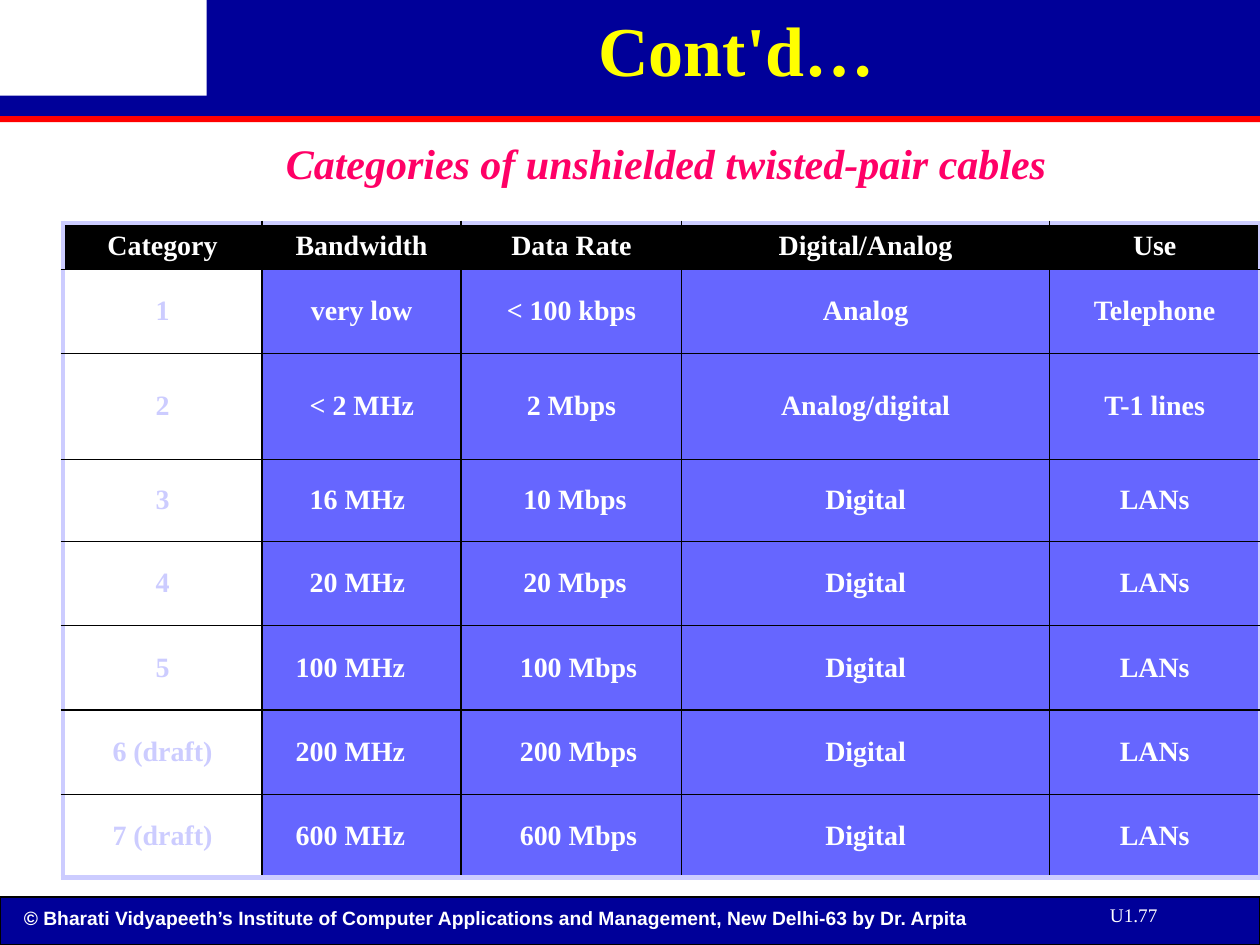
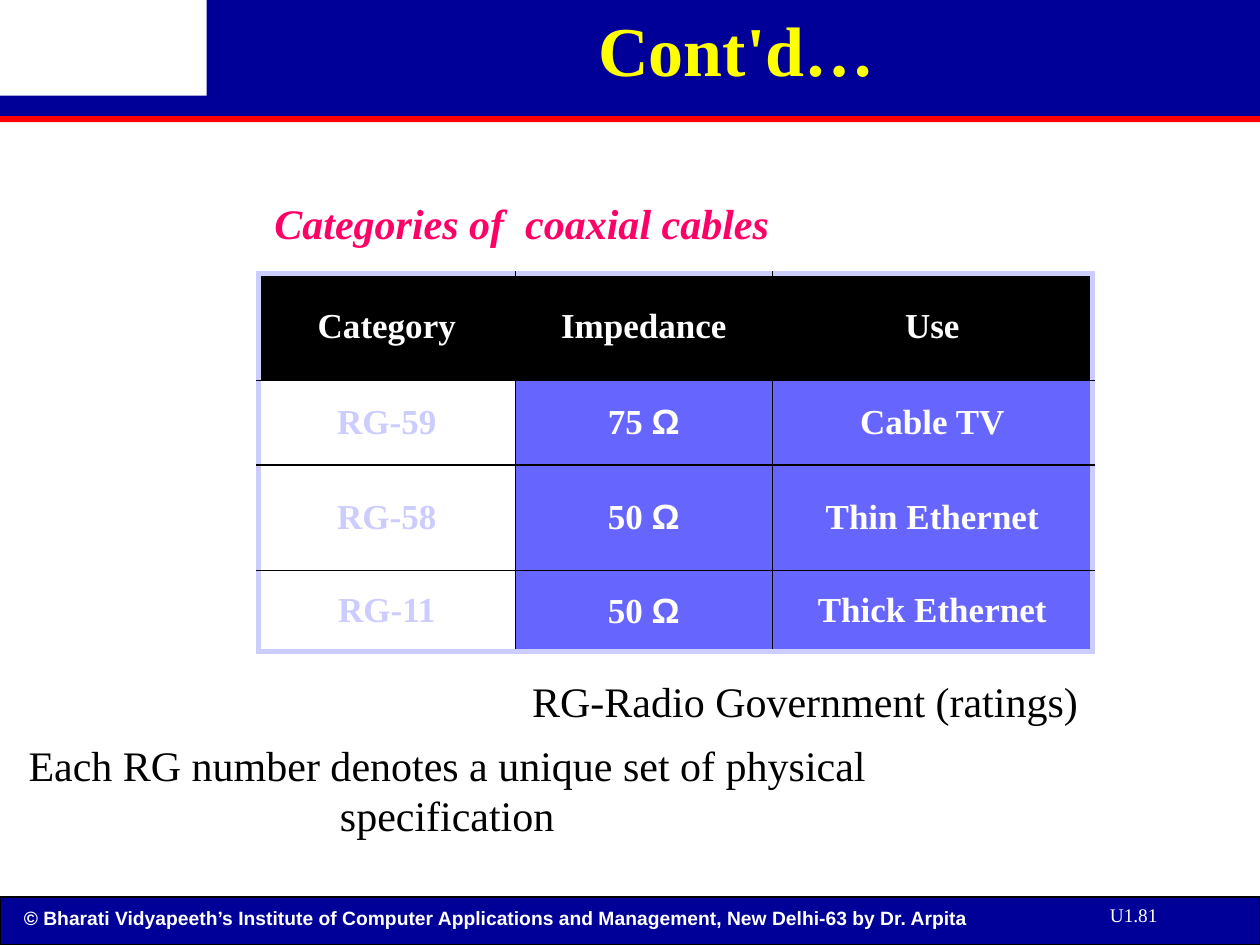
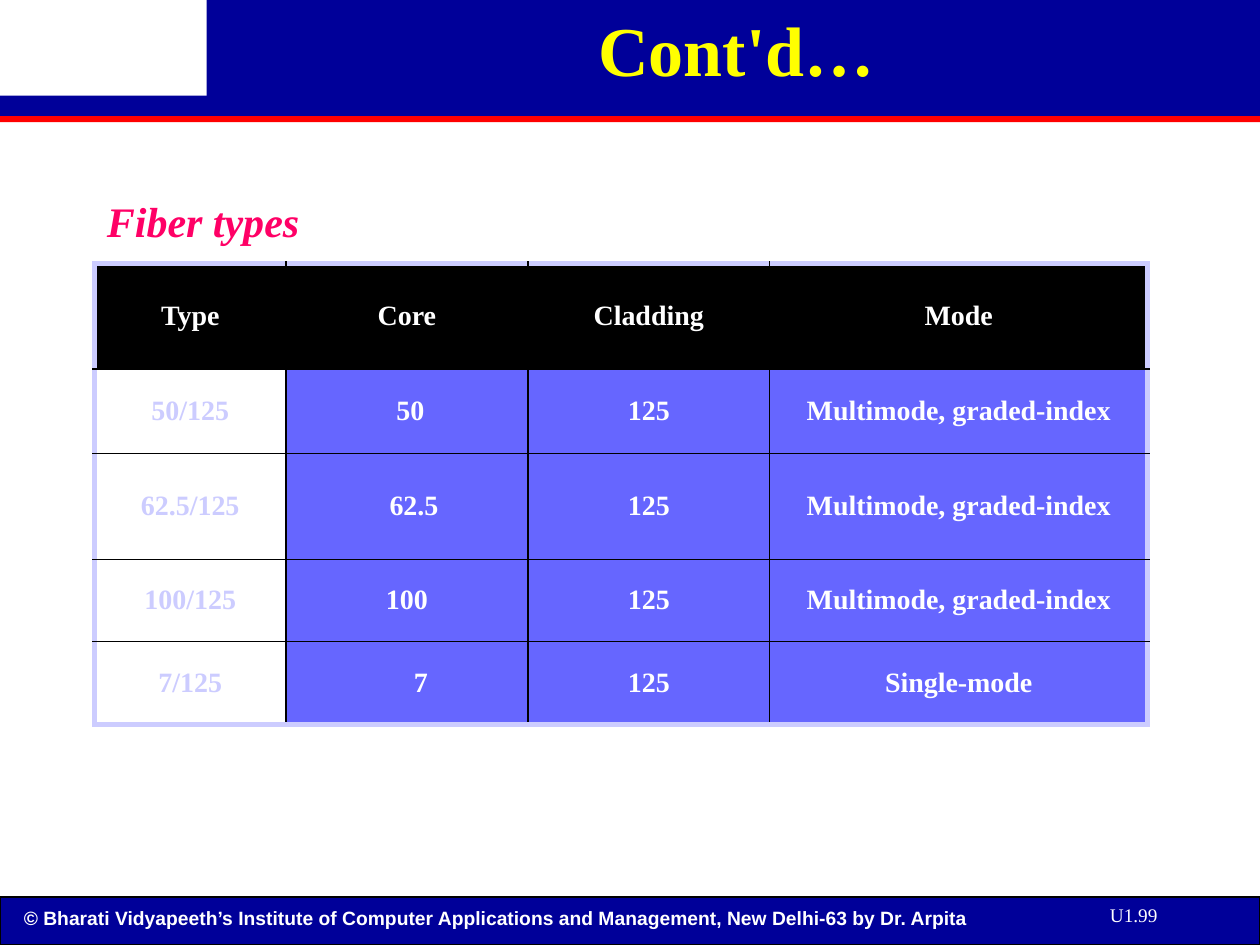
from dataclasses import dataclass

from lxml import etree
from pptx import Presentation
from pptx.dml.color import RGBColor
from pptx.enum.shapes import MSO_SHAPE
from pptx.enum.text import MSO_ANCHOR, MSO_AUTO_SIZE, PP_ALIGN
from pptx.oxml.ns import qn
from pptx.util import Inches, Pt

RECTANGLE = MSO_SHAPE.RECTANGLE
TOP, MIDDLE, BOTTOM = MSO_ANCHOR.TOP, MSO_ANCHOR.MIDDLE, MSO_ANCHOR.BOTTOM
LEFT, CENTER = PP_ALIGN.LEFT, PP_ALIGN.CENTER
NO_AUTOFIT, FIT_SHAPE = MSO_AUTO_SIZE.NONE, MSO_AUTO_SIZE.SHAPE_TO_FIT_TEXT
TITLE_ONLY = 5


@dataclass(frozen=True)
class Theme:
    serif: str = "Times New Roman"
    sans: str = "Arial"
    white: str = "FFFFFF"
    black: str = "000000"
    navy: str = "000099"
    red: str = "FF0000"
    yellow: str = "FFFF00"
    pink: str = "FF0066"
    violet: str = "6666FF"
    lavender: str = "CCCCFF"
    title_size: int = 40
    text_size: int = 24
    footer_size: int = 11
    inner_line: int = 1
    outer_line: int = 3


THEME = Theme()


@dataclass(frozen=True)
class Cell:
    """Table text as (text, font) runs, with a left indent in points."""
    runs: tuple
    indent: int = 0
    align: PP_ALIGN = CENTER


def shifted(text, indent, align=CENTER):
    return Cell(((text, THEME.serif),), indent, align)


def ohms(value):
    return Cell(((f"{value} ", THEME.serif), ("Ω", THEME.sans)))


def write_text(frame, text, size=THEME.text_size, color=THEME.black, font=THEME.serif,
               bold=False, italic=False, align=LEFT, anchor=TOP, wrap=True):
    """Fill a text frame with a string or with (text, font) runs."""
    frame.word_wrap = wrap
    frame.vertical_anchor = anchor
    paragraph = frame.paragraphs[0]
    paragraph.alignment = align
    runs = ((text, font),) if isinstance(text, str) else text
    for run_text, run_font in runs:
        run = paragraph.add_run()
        run.text = run_text
        run.font.name = run_font
        run.font.size = Pt(size)
        run.font.bold = bold
        run.font.italic = italic
        run.font.color.rgb = RGBColor.from_string(color)
    return paragraph


def add_text(slide, box, text, **text_format):
    shape = slide.shapes.add_textbox(*map(Inches, box))
    write_text(shape.text_frame, text, **text_format)
    return shape


def add_band(slide, box, color, outline=None):
    shape = slide.shapes.add_shape(RECTANGLE, *map(Inches, box))
    shape.shadow.inherit = False
    shape.fill.solid()
    shape.fill.fore_color.rgb = RGBColor.from_string(color)
    if outline:
        shape.line.color.rgb = RGBColor.from_string(outline)
        shape.line.width = Pt(0.75)
    else:
        shape.line.fill.background()
    return shape


def build_layout(layout, slide):
    """Draw the shared bands on a slide, then move them to its layout."""
    title = layout.placeholders[0]
    title.left, title.top, title.width, title.height = map(Inches, (1.69, 0, 8.31, 0.77))
    parts = (
        add_band(slide, (0, 7.12, 10, 0.38), THEME.navy, THEME.black),
        add_text(slide, (0.09, 7.14, 9.18, 0.28),
                 "© Bharati Vidyapeeth’s Institute of Computer Applications and Management, "
                 "New Delhi-63 by Dr. Arpita",
                 size=THEME.footer_size, color=THEME.white, font=THEME.sans, bold=True),
        add_band(slide, (0, 0.92, 10, 0.05), THEME.red),
        add_band(slide, (1.64, 0, 8.36, 0.77), THEME.navy),
        add_band(slide, (0, 0.76, 10, 0.16), THEME.navy),
    )
    for part in parts:
        layout.shapes.element.append(part.element)


def start_slide(slide, page, caption, caption_box):
    title_frame = slide.shapes.title.text_frame
    title_frame.auto_size = NO_AUTOFIT
    write_text(title_frame, "Cont'd…", size=THEME.title_size, color=THEME.yellow,
               bold=True, align=CENTER, anchor=BOTTOM)
    add_text(slide, (8.71, 7.12, 1.29, 0.29), page,
             size=THEME.footer_size, color=THEME.white)
    caption_shape = add_text(slide, caption_box, caption, color=THEME.pink,
                             bold=True, italic=True, wrap=False)
    caption_shape.text_frame.auto_size = FIT_SHAPE


def set_borders(cell, outer_sides):
    """Give a cell thick pale lines on its outer sides and thin black ones elsewhere."""
    properties = cell._tc.get_or_add_tcPr()
    for position, side in enumerate("LRTB"):
        outer = side in outer_sides
        width = THEME.outer_line if outer else THEME.inner_line
        line = etree.Element(qn(f"a:ln{side}"), w=str(Pt(width)))
        fill = etree.SubElement(line, qn("a:solidFill"))
        color = THEME.lavender if outer else THEME.black
        etree.SubElement(fill, qn("a:srgbClr"), val=color)
        properties.insert(position, line)


def add_category_table(slide, left, top, widths, heights, rows, size):
    """Add a table with a black header, a white first column and a violet body."""
    box = map(Inches, (left, top, sum(widths), sum(heights)))
    table = slide.shapes.add_table(len(rows), len(widths), *box).table
    table.first_row = table.horz_banding = False
    for column, width in zip(table.columns, widths):
        column.width = Inches(width)
    for row, height in zip(table.rows, heights):
        row.height = Inches(height)

    last_row, last_column = len(rows) - 1, len(widths) - 1
    for row_index, row in enumerate(rows):
        for column_index, content in enumerate(row):
            if row_index == 0:
                fill, color = THEME.black, THEME.white
            elif column_index == 0:
                fill, color = THEME.white, THEME.lavender
            else:
                fill, color = THEME.violet, THEME.white
            if isinstance(content, str):
                content = shifted(content, 0)
            cell = table.cell(row_index, column_index)
            cell.fill.solid()
            cell.fill.fore_color.rgb = RGBColor.from_string(fill)
            cell.vertical_anchor = MIDDLE
            paragraph = write_text(cell.text_frame, content.runs, size=size, color=color,
                                   bold=True, align=content.align, anchor=None, wrap=None)
            if content.indent:
                paragraph._p.get_or_add_pPr().set("marL", str(Pt(content.indent)))
            edges = (("L", column_index == 0), ("R", column_index == last_column),
                     ("T", row_index == 0), ("B", row_index == last_row))
            set_borders(cell, [side for side, is_outer in edges if is_outer])


def build_twisted_pair_slide(slide):
    start_slide(slide, "U1.77", "Categories of unshielded twisted-pair cables",
                (2.17, 1.04, 6.26, 0.5))
    lan_categories = (
        ("3", "16 MHz", 20, "10 Mbps", 4),
        ("4", "20 MHz", 20, "20 Mbps", 4),
        ("5", "100 MHz", 12, "100 Mbps", 8),
        ("6 (draft)", "200 MHz", 12, "200 Mbps", 8),
        ("7 (draft)", "600 MHz", 12, "600 Mbps", 8),
    )
    rows = [
        ("Category", "Bandwidth", "Data Rate", "Digital/Analog", "Use"),
        ("1", "very low", "< 100 kbps", "Analog", "Telephone"),
        ("2", shifted("< 2 MHz", 20, LEFT), "2 Mbps", "Analog/digital", "T-1 lines"),
    ]
    for category, bandwidth, bandwidth_indent, rate, rate_indent in lan_categories:
        rows.append((category, shifted(bandwidth, bandwidth_indent, LEFT),
                     shifted(rate, rate_indent), "Digital", "LANs"))
    add_category_table(slide, 0.5, 1.77, (1.58, 1.58, 1.75, 2.92, 1.67),
                       (0.36, 0.67, 0.84, 0.65, 0.67, 0.67, 0.67, 0.66), rows, size=16)


def build_coaxial_slide(slide):
    start_slide(slide, "U1.81", "Categories of  coaxial cables", (2.08, 1.52, 4.15, 0.5))
    rows = (
        ("Category", "Impedance", "Use"),
        ("RG-59", ohms(75), "Cable TV"),
        ("RG-58", ohms(50), "Thin Ethernet"),
        ("RG-11", ohms(50), "Thick Ethernet"),
    )
    add_category_table(slide, 2.05, 2.17, (2.04, 2.04, 2.54),
                       (0.85, 0.67, 0.84, 0.64), rows, size=20)
    add_text(slide, (2.92, 5.31, 6.94, 0.5), "RG-Radio Government (ratings)", align=CENTER)
    add_text(slide, (0.08, 5.82, 6.94, 0.91),
             "Each RG number denotes a unique set of physical specification", align=CENTER)


def build_fiber_slide(slide):
    start_slide(slide, "U1.99", "Fiber types", (0.75, 1.5, 1.75, 0.5))
    graded = "Multimode, graded-index"
    fibers = (("50", 4, graded), ("62.5", 8, graded), ("100", 0, graded),
              ("7", 16, "Single-mode"))
    rows = [("Type", "Core", "Cladding", "Mode")]
    for core, indent, mode in fibers:
        rows.append((f"{core}/125", shifted(core, indent), "125", mode))
    add_category_table(slide, 0.75, 2.09, (1.52, 1.92, 1.92, 3),
                       (0.84, 0.67, 0.84, 0.65, 0.66), rows, size=16)


def main():
    presentation = Presentation()
    presentation.slide_width, presentation.slide_height = Inches(10), Inches(7.5)
    layout = presentation.slide_layouts[TITLE_ONLY]
    builders = (build_twisted_pair_slide, build_coaxial_slide, build_fiber_slide)
    slides = [presentation.slides.add_slide(layout) for _ in builders]
    build_layout(layout, slides[0])
    for slide, build in zip(slides, builders):
        build(slide)
    presentation.save("out.pptx")


if __name__ == "__main__":
    main()
